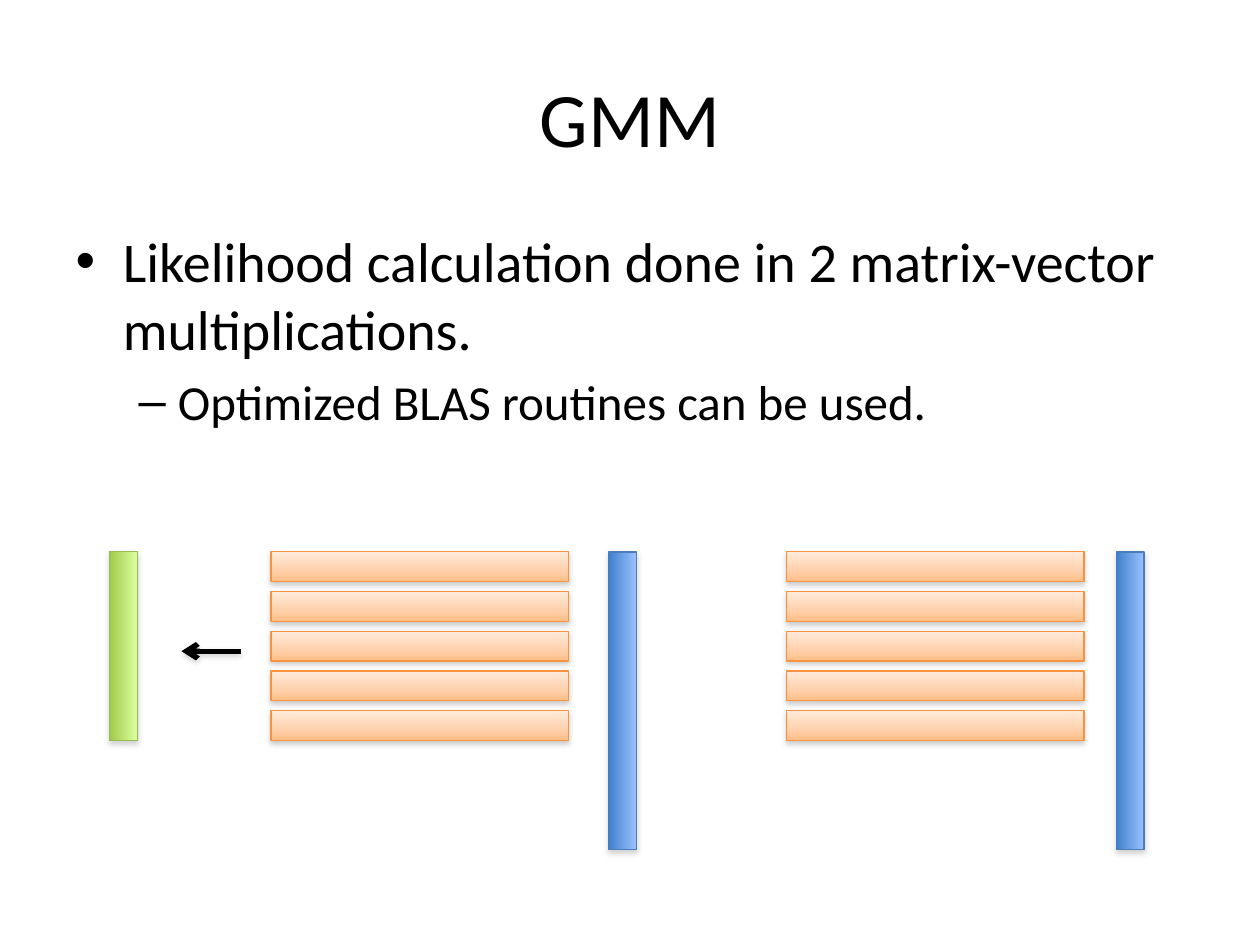
from lxml.etree import SubElement
from pptx import Presentation
from pptx.dml.color import RGBColor
from pptx.enum.shapes import MSO_CONNECTOR, MSO_SHAPE
from pptx.enum.text import MSO_ANCHOR, PP_ALIGN
from pptx.oxml.ns import qn
from pptx.util import Inches, Pt

COLORS = {
    "text": "000000",
    "shadow": "808080",
    "row": [(0, "FFEBDB"), (65, "FFD0AA"), (100, "FFBE86")],
    "row_line": "F69240",
    "vector": [(0, "9BC1FF"), (100, "3F80CD")],
    "vector_line": "4A7EBB",
    "result": [(0, "DCFFA0"), (100, "A0CA4A")],
    "result_line": "98B954",
}


def add_shadow(sp, alpha, dist):
    spPr = sp._element.spPr
    effects = spPr.find(qn("a:effectLst"))
    if effects is None:
        effects = SubElement(spPr, qn("a:effectLst"))
    shadow = SubElement(effects, qn("a:outerShdw"), blurRad=str(Pt(3.1)),
                        dist=str(Pt(dist)), dir="5400000", rotWithShape="0")
    clr = SubElement(shadow, qn("a:srgbClr"), val=COLORS["shadow"])
    SubElement(clr, qn("a:alpha"), val=str(alpha * 1000))


def add_bar(x, y, w, h, name, rotation=0, alpha=35, dist=1.8):
    sp = s.shapes.add_shape(MSO_SHAPE.RECTANGLE, int(x), int(y), int(w), int(h))
    sp.rotation = rotation
    sp.shadow.inherit = False
    sp.fill.gradient()
    sp.fill.gradient_angle = 270
    stops = sp._element.spPr.find(qn("a:gradFill")).find(qn("a:gsLst"))
    for gs in list(stops):
        stops.remove(gs)
    for pos, color in COLORS[name]:
        gs = SubElement(stops, qn("a:gs"), pos=str(pos * 1000))
        SubElement(gs, qn("a:srgbClr"), val=color)
    sp.line.color.rgb = RGBColor.from_string(COLORS[name + "_line"])
    sp.line.width = Pt(0.75)
    add_shadow(sp, alpha, dist)


prs = Presentation()
prs.slide_width, prs.slide_height = Inches(10), Inches(7.5)
W, H = prs.slide_width, prs.slide_height
s = prs.slides.add_slide(prs.slide_layouts[1])

title, body = s.placeholders[0], s.placeholders[1]
margin = int(W * 0.05)
title.left, title.top, title.width, title.height = margin, int(H * 0.04), W - 2 * margin, Inches(1.25)
body.left, body.top, body.width, body.height = margin, Inches(1.75), W - 2 * margin, Inches(2)

title.text_frame.text = "GMM"
title.text_frame.vertical_anchor = MSO_ANCHOR.MIDDLE
title.text_frame.paragraphs[0].alignment = PP_ALIGN.CENTER

tf = body.text_frame
tf.text = "Likelihood calculation done in 2 matrix-vector multiplications."
tf.paragraphs[0].space_before = Pt(0)
p = tf.add_paragraph()
p.text = "Optimized BLAS routines can be used."
p.level = 1

for p, size in zip([*title.text_frame.paragraphs, *tf.paragraphs], (44, 32, 28)):
    for r in p.runs:
        r.font.name = "Calibri"
        r.font.size = Pt(size)
        r.font.color.rgb = RGBColor.from_string(COLORS["text"])

pitch = Inches(0.315)
top = Inches(4.38)
row_w, row_h = 7.5 * pitch, 0.75 * pitch
matrix_h = 4 * pitch + row_h
bar_w = 0.7 * pitch

for left in (Inches(2.15), Inches(6.24)):
    for i in range(5):
        add_bar(left, top + i * pitch, row_w, row_h, "row", alpha=38, dist=1.6)

for center, length, name in (
    (Inches(0.98), matrix_h, "result"),
    (Inches(4.94), row_w, "vector"),
    (Inches(8.97), row_w, "vector"),
):
    add_bar(center - length / 2, top + length / 2 - bar_w / 2, length, bar_w, name, rotation=90)

mid = int(top + matrix_h / 2) + Inches(0.04)
arrow = s.shapes.add_connector(MSO_CONNECTOR.STRAIGHT, Inches(1.91), mid, Inches(1.44), mid)
arrow.line.color.rgb = RGBColor.from_string(COLORS["text"])
arrow.line.width = Pt(3)
SubElement(arrow.line._get_or_add_ln(), qn("a:tailEnd"), type="arrow")
add_shadow(arrow, 35, 1.8)

prs.save("out.pptx")
